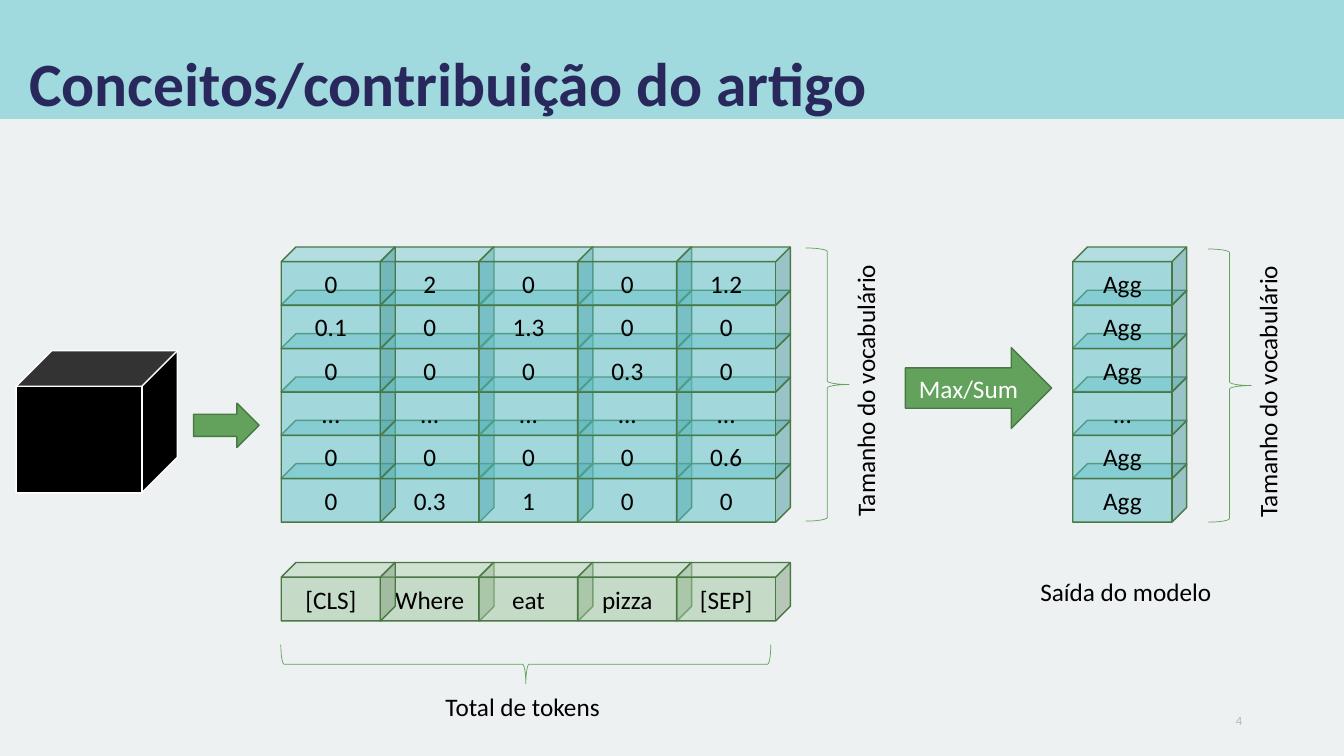
from dataclasses import dataclass

from lxml import etree
from pptx import Presentation
from pptx import util as u
from pptx.dml.color import RGBColor
from pptx.enum import shapes, text
from pptx.oxml.ns import qn


@dataclass(frozen=True)
class Theme:
    """Colours, type sizes and line widths of the slide."""
    font: str = "Calibri"
    background: str = "EDF1F2"
    band: str = "A0DADE"
    title: str = "29285D"
    ink: str = "000000"
    paper: str = "FFFFFF"
    muted: str = "A7BBC0"
    value: str = "59BEC5"
    token: str = "A1C79E"
    green: str = "62A25D"
    edge: str = "497845"
    title_size: int = 44
    body_size: int = 18
    number_size: int = 9
    thin: float = 0.5
    thick: float = 1


@dataclass(frozen=True)
class Box:
    """A rectangle in inches."""
    left: float
    top: float
    width: float
    height: float

    def inset(self, x, y, width, height):
        """Return a box offset from this one's top left corner."""
        return Box(self.left + x, self.top + y, width, height)

    def inches(self):
        """Return the four lengths for a shape call."""
        return [u.Inches(v) for v in (self.left, self.top, self.width, self.height)]


THEME = Theme()
SHAPE = shapes.MSO_SHAPE
ALIGN = text.PP_ALIGN
PAGE = Box(0, 0, 13.33, 7.5)
COLUMN, ROW, DEPTH = 0.98, 0.43, 0.15
VOCABULARY = "Tamanho do vocabulário"
VALUES = [
    ["0", "2", "0", "0", "1.2"],
    ["0.1", "0", "1.3", "0", "0"],
    ["0", "0", "0", "0.3", "0"],
    ["...", "...", "...", "...", "..."],
    ["0", "0", "0", "0", "0.6"],
    ["0", "0.3", "1", "0", "0"],
]
TOKENS = [["[CLS]", "Where", "eat", "pizza", "[SEP]"]]
AGGREGATES = [["Agg"], ["Agg"], ["Agg"], ["..."], ["Agg"], ["Agg"]]


def write(frame, words, color=THEME.ink, size=THEME.body_size, bold=False,
          align=ALIGN.LEFT, anchor=text.MSO_ANCHOR.MIDDLE):
    """Put one styled run in a text frame."""
    frame.vertical_anchor = anchor
    paragraph = frame.paragraphs[0]
    paragraph.alignment = align
    run = paragraph.add_run()
    run.text = words
    run.font.name = THEME.font
    run.font.size = u.Pt(size)
    run.font.bold = bold
    run.font.color.rgb = RGBColor.from_string(color)
    return paragraph


def label(slide, box, words, rotation=0, wrap=True, **style):
    """Add a text box."""
    caption = slide.shapes.add_textbox(*box.inches())
    caption.rotation = rotation
    caption.text_frame.word_wrap = wrap
    return write(caption.text_frame, words, **style)


def solid(slide, kind, box, fill=None, line=None, width=THEME.thick, alpha=None):
    """Add a preset shape with its fill and outline."""
    figure = slide.shapes.add_shape(kind, *box.inches())
    figure.shadow.inherit = False
    if fill:
        figure.fill.solid()
        figure.fill.fore_color.rgb = RGBColor.from_string(fill)
    else:
        figure.fill.background()
    if line:
        figure.line.color.rgb = RGBColor.from_string(line)
        figure.line.width = u.Pt(width)
    else:
        figure.line.fill.background()
    if alpha:
        color = figure.element.spPr.find(qn("a:solidFill"))[0]
        etree.SubElement(color, qn("a:alpha")).set("val", str(alpha * 1000))
    return figure


def brace(slide, box, rotation=0):
    """Add a thin curly brace."""
    solid(slide, SHAPE.RIGHT_BRACE, box, line=THEME.green,
          width=THEME.thin).rotation = rotation


def arrow(slide, box, words=""):
    """Add a green block arrow."""
    block = solid(slide, SHAPE.RIGHT_ARROW, box, THEME.green, THEME.edge)
    if words:
        write(block.text_frame, words, THEME.paper, align=ALIGN.CENTER)


def cubes(slide, box, rows, fill):
    """Stack cubes from the bottom row up, first column in front."""
    for r in reversed(range(len(rows))):
        for c in [*range(1, len(rows[r])), 0]:
            place = box.inset(c * COLUMN, r * ROW, COLUMN + DEPTH, ROW + DEPTH)
            cube = solid(slide, SHAPE.CUBE, place, fill, THEME.edge, alpha=50)
            write(cube.text_frame, rows[r][c], align=ALIGN.CENTER)


def header(slide, box):
    """Draw the title band."""
    solid(slide, SHAPE.RECTANGLE, box, THEME.band)
    heading = label(slide, box.inset(0.19, 0.44, 12.39, 0.8),
                    "Conceitos/contribuição do artigo", color=THEME.title,
                    size=THEME.title_size, bold=True,
                    anchor=text.MSO_ANCHOR.BOTTOM)
    heading.line_spacing = 0.9


def model(slide, box):
    """Draw the black box model and the arrow that leaves it."""
    solid(slide, SHAPE.CUBE, box, THEME.ink, THEME.paper)
    arrow(slide, box.inset(box.width + 0.16, 0.52, 0.65, 0.44))


def vocabulary(slide, box):
    """Draw the vocabulary brace and its upright label."""
    brace(slide, Box(box.left, box.top, 0.43, box.height))
    label(slide, box.inset(-0.87, 1.1, 2.92, 0.4), VOCABULARY, 270)


def matrix(slide, box):
    """Draw the values for each token and vocabulary entry."""
    cubes(slide, box, VALUES, THEME.value)
    vocabulary(slide, box.inset(box.width + 0.17, 0.01, 1, 2.71))


def tokens(slide, box):
    """Draw the token row with its brace and total."""
    cubes(slide, box, TOKENS, THEME.token)
    brace(slide, box.inset(2.23, -1.42, 0.39, 4.86), 90)
    label(slide, box.inset(1.53, 1.23, 2.92, 0.4), "Total de tokens")


def output(slide, box):
    """Draw the aggregated column with its brace and caption."""
    arrow(slide, box.inset(-1.66, 1, 1.45, 0.8), "Max/Sum")
    cubes(slide, box, AGGREGATES, THEME.value)
    label(slide, box.inset(-0.42, 3.22, 1.97, 0.4), "Saída do modelo", wrap=False)
    vocabulary(slide, box.inset(box.width + 0.22, 0.02, 1, 2.71))


def main():
    """Build and save the slide."""
    deck = Presentation()
    deck.slide_width, deck.slide_height = PAGE.inches()[2:]
    slide = deck.slides.add_slide(deck.slide_layouts[6])
    slide.background.fill.solid()
    slide.background.fill.fore_color.rgb = RGBColor.from_string(THEME.background)
    header(slide, PAGE.inset(0, 0, PAGE.width, 1.18))
    label(slide, PAGE.inset(9.42, 6.95, 3, 0.4), "4", color=THEME.muted,
          size=THEME.number_size, align=ALIGN.RIGHT)
    model(slide, PAGE.inset(0.16, 3.48, 1.6, 1.41))
    tokens(slide, PAGE.inset(2.79, 5.58, 5.03, 0.58))
    matrix(slide, PAGE.inset(2.79, 2.45, 5.03, 2.73))
    output(slide, PAGE.inset(10.64, 2.45, 1.12, 2.73))
    deck.save("out.pptx")


if __name__ == "__main__":
    main()
